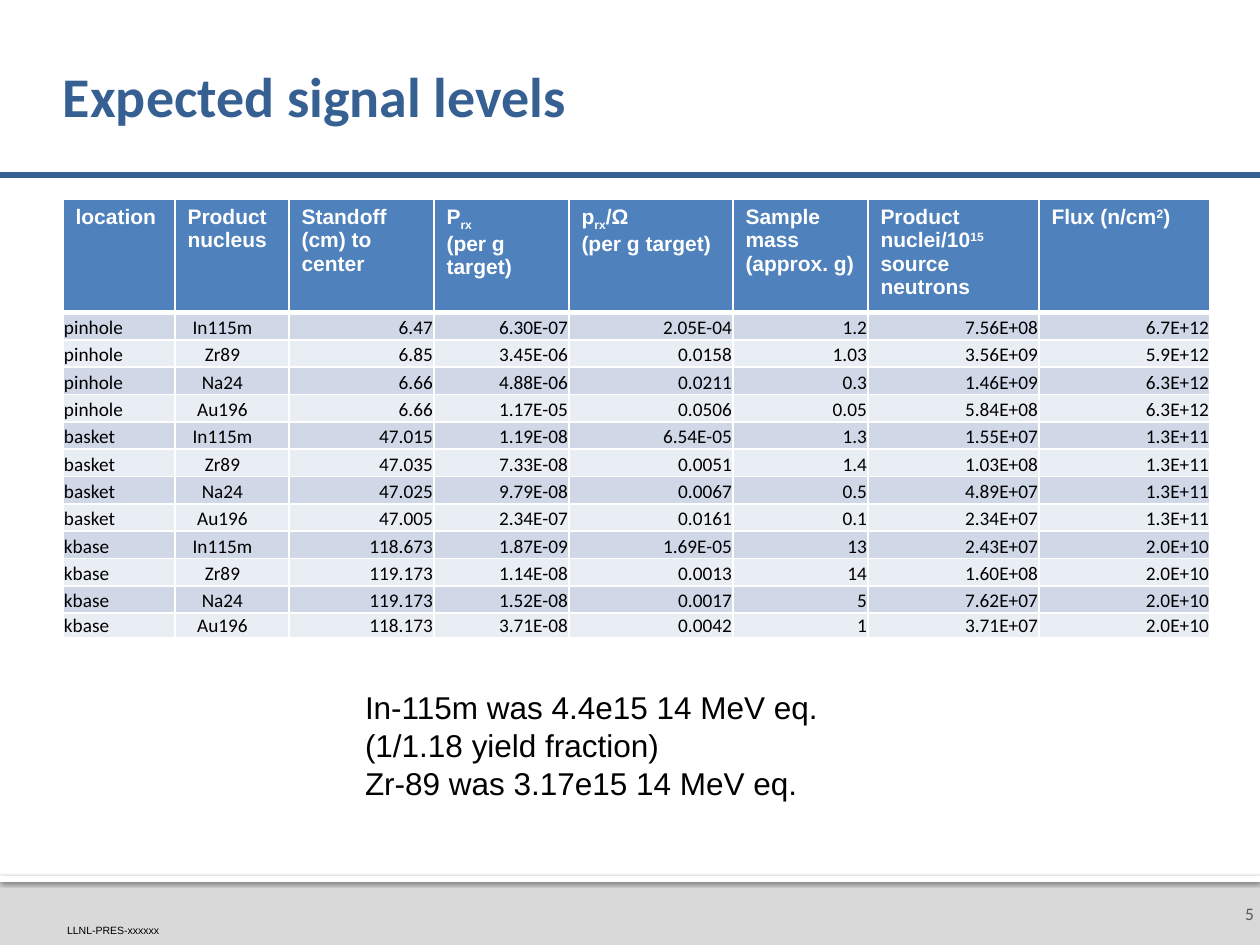
"""Build the slide of expected signal levels with its table of activation products."""
from lxml.etree import SubElement
from pptx import Presentation
from pptx.dml.color import RGBColor
from pptx.enum.shapes import MSO_CONNECTOR, MSO_SHAPE
from pptx.enum.text import MSO_ANCHOR, PP_ALIGN
from pptx.oxml import parse_xml
from pptx.oxml.ns import nsdecls, qn
from pptx.util import Emu, Pt

SCALE = 914400 / 126
COLORS = {
    "title": "376092", "header": "4F81BD", "odd": "D0D8E8", "even": "E9EDF4",
    "footer": "D9D9D9", "number": "595959", "white": "FFFFFF", "black": "000000",
}
BASELINES = {"_": "-25000", "^": "30000"}


def px(length):
    return Emu(round(length * SCALE))


def write(frame, text, size, font="Arial", color="black", bold=False,
          align=PP_ALIGN.LEFT, spacing=None):
    """Fill a frame; newlines split paragraphs, bars split spans, _ and ^ lower or raise one."""
    frame.word_wrap = True
    for index, line in enumerate(text.split("\n")):
        para = frame.add_paragraph() if index else frame.paragraphs[0]
        para.alignment = align
        para.line_spacing = spacing
        for piece in line.split("|"):
            span = para.add_run()
            span.text = piece.lstrip("_^")
            span.font.size = Pt(size)
            span.font.name = font
            span.font.bold = bold
            span.font.color.rgb = RGBColor.from_string(COLORS[color])
            if piece[0] in BASELINES:
                span.font._element.set("baseline", BASELINES[piece[0]])


deck = Presentation()
deck.slide_width, deck.slide_height = px(1260), px(945)
page = deck.slides.add_slide(deck.slide_layouts[6])

for top, height, color in [(876, 69, "footer"), (876, 6, "white")]:
    bar = page.shapes.add_shape(MSO_SHAPE.RECTANGLE, px(0), px(top), px(1260), px(height))
    bar.shadow.inherit = False
    bar.fill.solid()
    bar.fill.fore_color.rgb = RGBColor.from_string(COLORS[color])
    bar.line.fill.background()
effects = bar._element.spPr.find(qn("a:effectLst"))
effects.append(parse_xml(
    f'<a:outerShdw {nsdecls("a")} blurRad="31750" dist="10160" dir="5400000" rotWithShape="0">'
    f'<a:srgbClr val="{COLORS["black"]}"><a:alpha val="60000"/></a:srgbClr></a:outerShdw>'))

rule = page.shapes.add_connector(MSO_CONNECTOR.STRAIGHT, px(-1), px(175), px(1260), px(175))
rule.line.color.rgb = RGBColor.from_string(COLORS["title"])
rule.line.width = Pt(3)
SubElement(rule._element.spPr, qn("a:effectLst"))

texts = [
    ((63, 30, 1134, 139), (0, 6, 6, 6), MSO_ANCHOR.MIDDLE, "Expected signal levels",
     dict(size=32, font="Calibri", color="title", bold=True, spacing=0.9)),
    ((352, 682, 572, 127), (13, 6, 13, 6), MSO_ANCHOR.TOP,
     "In-115m was 4.4e15 14 MeV eq. (1/1.18 yield fraction)\nZr-89 was 3.17e15 14 MeV eq.",
     dict(size=18)),
    ((67, 924, 121, 13), (0, 0, 0, 0), MSO_ANCHOR.BOTTOM, "LLNL-PRES-xxxxxx", dict(size=6)),
    ((1216, 882, 44, 63), (13, 6, 6, 6), MSO_ANCHOR.MIDDLE, "5",
     dict(size=10, font="Calibri", color="number", align=PP_ALIGN.RIGHT)),
]
for place, insets, anchor, text, style in texts:
    box = page.shapes.add_textbox(*map(px, place))
    frame = box.text_frame
    frame.margin_left, frame.margin_top, frame.margin_right, frame.margin_bottom = map(px, insets)
    frame.vertical_anchor = anchor
    write(frame, text, **style)

headers = [
    "location", "Product nucleus", "Standoff\n(cm) to center", "P|_rx\n(per g target)",
    "p|_rx|/Ω\n(per g target)", "Sample mass (approx. g)",
    "Product nuclei/10|^15| source neutrons", "Flux (n/cm|^2|)",
]
readings = """pinhole In115m 6.47 6.30E-07 2.05E-04 1.2 7.56E+08 6.7E+12
pinhole Zr89 6.85 3.45E-06 0.0158 1.03 3.56E+09 5.9E+12
pinhole Na24 6.66 4.88E-06 0.0211 0.3 1.46E+09 6.3E+12
pinhole Au196 6.66 1.17E-05 0.0506 0.05 5.84E+08 6.3E+12
basket In115m 47.015 1.19E-08 6.54E-05 1.3 1.55E+07 1.3E+11
basket Zr89 47.035 7.33E-08 0.0051 1.4 1.03E+08 1.3E+11
basket Na24 47.025 9.79E-08 0.0067 0.5 4.89E+07 1.3E+11
basket Au196 47.005 2.34E-07 0.0161 0.1 2.34E+07 1.3E+11
kbase In115m 118.673 1.87E-09 1.69E-05 13 2.43E+07 2.0E+10
kbase Zr89 119.173 1.14E-08 0.0013 14 1.60E+08 2.0E+10
kbase Na24 119.173 1.52E-08 0.0017 5 7.62E+07 2.0E+10
kbase Au196 118.173 3.71E-08 0.0042 1 3.71E+07 2.0E+10"""
rows = [headers] + [line.split() for line in readings.split("\n")]
widths = [112, 114, 145, 135, 164, 135, 171, 171]
heights = [px(113)] + [px(301) // 11] * 11 + [px(24)]
aligns = [PP_ALIGN.LEFT, PP_ALIGN.CENTER] + [PP_ALIGN.RIGHT] * 6

table = page.shapes.add_table(len(rows), len(widths), px(63), px(199),
                              px(sum(widths)), sum(heights)).table
table.horz_banding = False
for column, width in zip(table.columns, widths):
    column.width = px(width)
for row, height in zip(table.rows, heights):
    row.height = height

for r, values in enumerate(rows):
    for c, value in enumerate(values):
        cell = table.cell(r, c)
        cell.fill.solid()
        shade = "header" if r == 0 else "odd" if r % 2 else "even"
        cell.fill.fore_color.rgb = RGBColor.from_string(COLORS[shade])
        if r == 0:
            write(cell.text_frame, value, size=12, color="white", bold=True)
        else:
            cell.margin_left = cell.margin_top = px(1)
            cell.margin_right = px(20 if c == 1 else 1)
            cell.margin_bottom = px(0)
            cell.vertical_anchor = MSO_ANCHOR.BOTTOM
            write(cell.text_frame, value, size=11, font="Calibri", align=aligns[c])
        for index, side in enumerate("LRTB"):
            heavy = (r, side) in [(0, "B"), (1, "T")]
            cell._tc.tcPr.insert(index, parse_xml(
                f'<a:ln{side} {nsdecls("a")} w="{Pt(3 if heavy else 1)}"><a:solidFill>'
                f'<a:srgbClr val="{COLORS["white"]}"/></a:solidFill></a:ln{side}>'))

deck.save("out.pptx")
